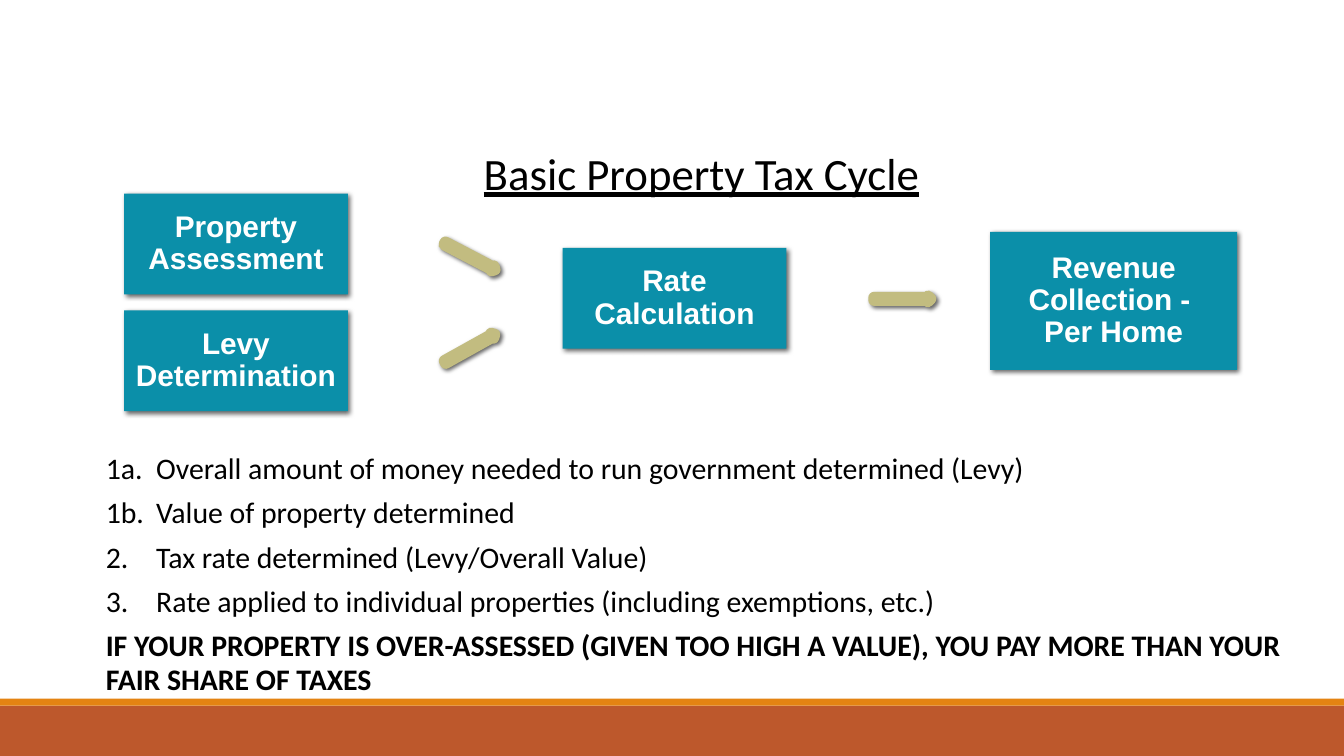
from lxml import etree
from pptx import Presentation
from pptx.dml.color import RGBColor
from pptx.enum.shapes import MSO_SHAPE
from pptx.enum.text import MSO_ANCHOR, MSO_AUTO_SIZE, PP_ALIGN
from pptx.oxml.ns import qn
from pptx.util import Inches, Pt

RECTANGLE, ARROW = MSO_SHAPE.RECTANGLE, MSO_SHAPE.RIGHT_ARROW
TOP, MIDDLE = MSO_ANCHOR.TOP, MSO_ANCHOR.MIDDLE
LEFT, CENTER = PP_ALIGN.LEFT, PP_ALIGN.CENTER
NO_FIT = MSO_AUTO_SIZE.NONE
WIDTH, HEIGHT = Inches(13.33), Inches(7.5)

BLACK = RGBColor(0x00, 0x00, 0x00)
WHITE = RGBColor(0xFF, 0xFF, 0xFF)
TEAL = RGBColor(0x0B, 0x8F, 0xA9)
KHAKI = RGBColor(0xC3, 0xBB, 0x71)
KHAKI_EDGE = RGBColor(0xC2, 0xBC, 0x80)
RUST = RGBColor(0xBD, 0x58, 0x2C)
ORANGE = RGBColor(0xE4, 0x83, 0x12)

BANDS = [((0, 93.33, 100, 6.67), RUST), ((0, 92.4, 100, 0.93), ORANGE)]
STAGES = [
    ((9.23, 41.07, 16.65, 13.33), ["Levy", "Determination"]),
    ((9.23, 25.6, 16.65, 13.33), ["Property", "Assessment"]),
    ((41.86, 32.8, 16.65, 13.33), ["Rate", "Calculation"]),
    ((73.67, 30.67, 18.38, 18.27), ["Revenue", "Collection - ", "Per Home"]),
]
ARROWS = [(65.04, 39.2, 0), (32.86, 33.6, 27.6), (32.86, 45.73, 330.9)]
STEPS = [
    "1a.\tOverall amount of money needed to run government determined (Levy)",
    "1b.\tValue of property determined",
    "2.\tTax rate determined (Levy/Overall Value)",
    "3.\tRate applied to individual properties (including exemptions, etc.)",
]
WARNING = ("IF YOUR PROPERTY IS OVER-ASSESSED (GIVEN TOO HIGH A VALUE), "
           "YOU PAY MORE THAN YOUR FAIR SHARE OF TAXES")


def area(left, top, width, height):
    """Turn percentages of the slide into lengths."""
    return (int(WIDTH * left / 100), int(HEIGHT * top / 100),
            int(WIDTH * width / 100), int(HEIGHT * height / 100))


def add_block(page, kind, place, color):
    """Add a flat filled shape without outline or shadow."""
    block = page.shapes.add_shape(kind, *area(*place))
    block.shadow.inherit = False
    block.fill.solid()
    block.fill.fore_color.rgb = color
    block.line.fill.background()
    return block


def add_shadow(block, blur):
    """Cast a soft black shadow to the lower right."""
    effects = block._element.spPr.find(qn("a:effectLst"))
    shadow = etree.SubElement(effects, qn("a:outerShdw"), blurRad=str(Pt(blur)),
                              dist=str(Pt(2)), dir="2700000", algn="tl", rotWithShape="0")
    color = etree.SubElement(shadow, qn("a:srgbClr"), val="000000")
    etree.SubElement(color, qn("a:alpha"), val="60000")


def set_frame(frame, anchor, wrap, top=0.07):
    """Set the insets, anchor and wrapping of a text frame."""
    frame.auto_size = NO_FIT
    frame.word_wrap = wrap
    frame.vertical_anchor = anchor
    frame.margin_left = frame.margin_right = Inches(0.13)
    frame.margin_top, frame.margin_bottom = Inches(top), Inches(0.07)


def style(para, face, size, color, align, spacing, bold=False):
    """Format a whole paragraph."""
    para.alignment, para.line_spacing = align, spacing
    font = para.font
    font.name, font.size, font.bold = face, Pt(size), bold
    font.color.rgb = color


def add_stage(page, place, lines):
    """Add one labelled stage of the tax cycle."""
    box = add_block(page, RECTANGLE, place, TEAL)
    add_shadow(box, 3.5)
    set_frame(box.text_frame, MIDDLE, False)
    box.text_frame.text = "\n".join(lines)
    for para in box.text_frame.paragraphs:
        style(para, "Arial", 21.3, WHITE, CENTER, 0.9, True)


def add_arrow(page, left, top, angle):
    """Add one stubby arrow between stages."""
    arrow = add_block(page, ARROW, (left, top, 4.2, 0.67), KHAKI)
    arrow.line.color.rgb = KHAKI_EDGE
    arrow.line.width = Pt(8.25)
    arrow.rotation = angle
    add_shadow(arrow, 3)


def fill_title(title):
    """Write the underlined heading."""
    title.left, title.top, title.width, title.height = area(6.9, 18.4, 90.62, 8)
    set_frame(title.text_frame, TOP, True, 0.11)
    title.text_frame.text = "Basic Property Tax Cycle"
    para = title.text_frame.paragraphs[0]
    style(para, "Calibri", 32, BLACK, CENTER, 0.93)
    para.font.underline = True


def fill_steps(body):
    """Write the numbered steps and the closing warning."""
    body.left, body.top, body.width, body.height = area(6.9, 58.93, 90.62, 33.3)
    set_frame(body.text_frame, TOP, True)
    body.text_frame.text = "\n".join(STEPS + [WARNING])
    for index, para in enumerate(body.text_frame.paragraphs):
        closing = index == len(STEPS)
        hanging = 0 if closing else Inches(0.5)
        properties = para._p.get_or_add_pPr()
        properties.set("marL", str(hanging))
        properties.set("indent", str(-hanging))
        etree.SubElement(properties, qn("a:buNone"))
        para.space_before = Pt(8 if index else 0)
        style(para, "Calibri", 21.3, BLACK, LEFT, 0.93, closing)


def main():
    """Build and save the slide."""
    deck = Presentation()
    deck.slide_width, deck.slide_height = WIDTH, HEIGHT
    page = deck.slides.add_slide(deck.slide_layouts[1])
    for place, color in BANDS:
        add_block(page, RECTANGLE, place, color)
    for place, lines in STAGES:
        add_stage(page, place, lines)
    for arrow in ARROWS:
        add_arrow(page, *arrow)
    fill_title(page.shapes.title)
    fill_steps(page.placeholders[1])
    deck.save("out.pptx")


if __name__ == "__main__":
    main()
